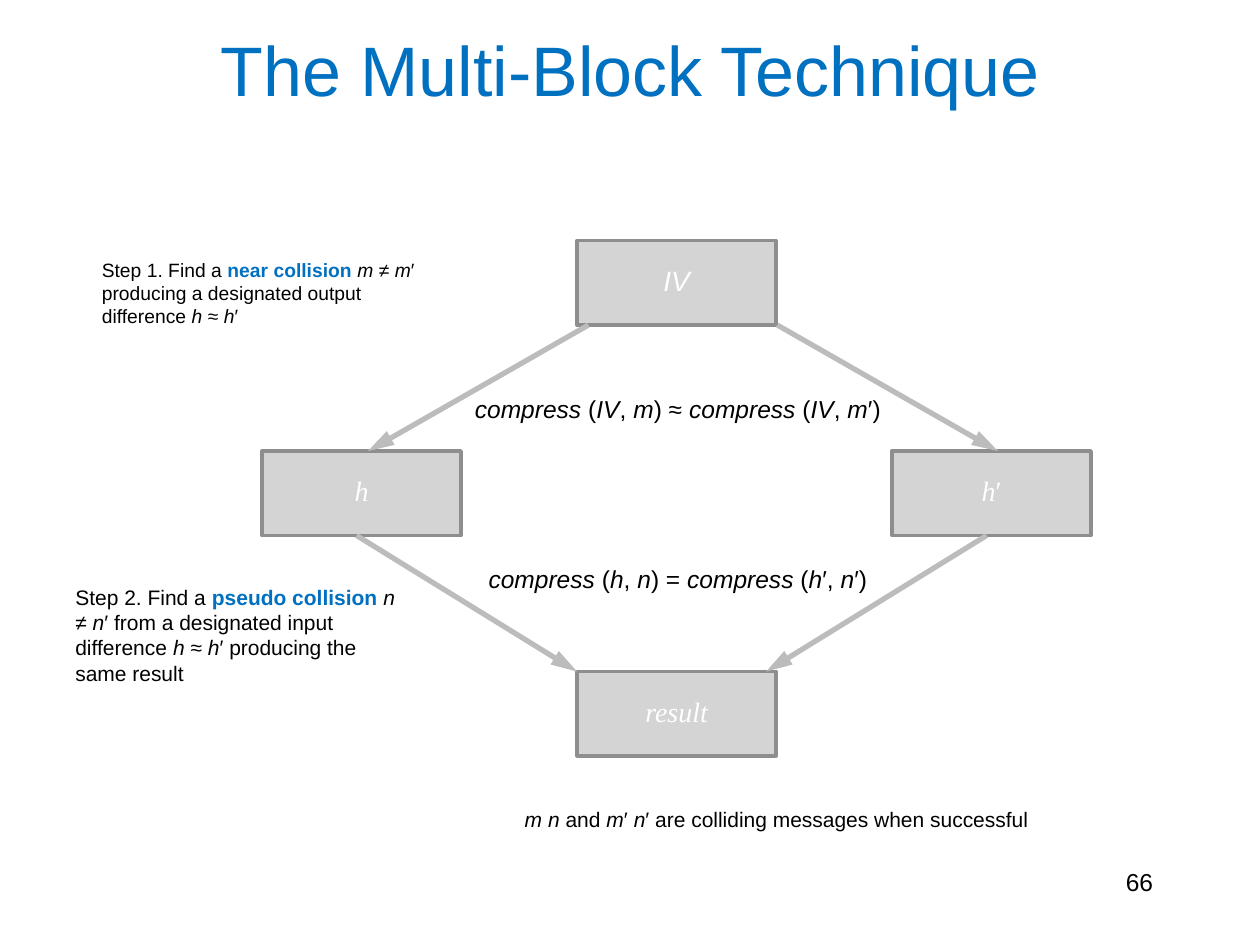
"""Build the slide on the multi-block collision technique."""
from dataclasses import dataclass

from lxml.etree import SubElement
from pptx import Presentation
from pptx.dml.color import RGBColor
from pptx.enum.shapes import MSO_CONNECTOR as CONN, MSO_SHAPE as SHAPE
from pptx.enum.text import MSO_ANCHOR as ANCHOR, PP_ALIGN as ALIGN
from pptx.oxml.ns import qn
from pptx.util import Inches, Pt

BLUE = "0070C0"
BOX_W, BOX_H = 1.58, 0.67
LABEL_W, LABEL_H = 0.83, 0.37


@dataclass
class State:
    text: str
    x: float
    y: float
    font: str = "Times New Roman"


@dataclass
class Arrow:
    x1: float
    y1: float
    x2: float
    y2: float


@dataclass
class Note:
    text: str
    x: float
    y: float
    w: float
    h: float
    size: int
    align: ALIGN = ALIGN.CENTER


STATES = [
    State("_IV_", 4.58, 1.91, "Arial"),
    State("_h_", 2.08, 3.58),
    State("_h_′", 7.08, 3.58),
    State("_result_", 4.58, 5.33),
]
ARROWS = [
    Arrow(4.67, 2.58, 2.92, 3.58),
    Arrow(6.17, 2.58, 7.92, 3.58),
    Arrow(7.83, 4.25, 6.08, 5.33),
    Arrow(2.83, 4.25, 4.58, 5.33),
]
NOTES = [
    Note("66", 7.17, 6.83, 2.08, 0.5, 14, ALIGN.RIGHT),
    Note("_compress_ (_IV_, _m_) ≈ _compress_ (_IV_, _m_′)", 3.38, 3.08, 4, 0.34, 14),
    Note("_compress_ (_h_, _n_) = _compress_ (_h_′, _n_′)", 3.38, 4.43, 4, 0.34, 14),
    Note("Step 1. Find a *near collision *_m _≠ _m_′ producing a designated "
         "output difference _h _≈ _h_′", 0.71, 2, 2.79, 0.66, 11, ALIGN.LEFT),
    Note("Step 2. Find a *pseudo collision *_n _≠ _n_′ from a designated input "
         "difference _h _≈ _h_′ producing the same result",
         0.5, 4.59, 2.83, 0.91, 12, ALIGN.LEFT),
    Note("_m n_ and _m_′ _n_′ are colliding messages when successful",
         3.08, 6.35, 6.17, 0.3, 12),
]


def rgb(color: str) -> RGBColor:
    """Turn a hex string into a colour."""
    return RGBColor.from_string(color)


def add_text(s, text: str, x: float, y: float, w: float, h: float, *, size: int,
             font: str = "Arial", color: str = "000000",
             align: ALIGN = ALIGN.CENTER, anchor: ANCHOR = ANCHOR.TOP) -> None:
    """Add a text box where _x_ marks italics and *x* marks a bold blue term."""
    tf = s.shapes.add_textbox(Inches(x), Inches(y), Inches(w), Inches(h)).text_frame
    tf.word_wrap = True
    tf.vertical_anchor = anchor
    p = tf.paragraphs[0]
    p.alignment = align
    for i, chunk in enumerate(text.split("*")):
        for j, part in enumerate(chunk.split("_")):
            if part:
                r = p.add_run()
                r.text = part
                r.font.name, r.font.size = font, Pt(size)
                r.font.bold, r.font.italic = i % 2 == 1, j % 2 == 1
                r.font.color.rgb = rgb(BLUE if i % 2 else color)


def add_state(s, state: State) -> None:
    """Add a translucent grey box with its centred label."""
    sp = s.shapes.add_shape(SHAPE.RECTANGLE, Inches(state.x), Inches(state.y),
                            Inches(BOX_W), Inches(BOX_H))
    sp.shadow.inherit = False
    sp.fill.solid()
    sp.fill.fore_color.rgb = rgb("C0C0C0")
    fill = sp.fill._xPr.find(qn("a:solidFill"))
    SubElement(fill[0], qn("a:alpha"), val="67000")
    sp.line.color.rgb = rgb("8E8E8E")
    sp.line.width = Pt(2)
    add_text(s, state.text, state.x + (BOX_W - LABEL_W) / 2, state.y + 0.13,
             LABEL_W, LABEL_H, size=16, font=state.font, color="FFFFFF")


def add_arrow(s, a: Arrow) -> None:
    """Add a grey arrow pointing at its end."""
    c = s.shapes.add_connector(CONN.STRAIGHT, Inches(a.x1), Inches(a.y1),
                               Inches(a.x2), Inches(a.y2))
    c.line.color.rgb = rgb("BCBCBC")
    c.line.width = Pt(3)
    SubElement(c.line._get_or_add_ln(), qn("a:tailEnd"),
               type="triangle", w="med", len="lg")
    SubElement(c._element.spPr, qn("a:effectLst"))


def main() -> None:
    """Build and save the slide."""
    prs = Presentation()
    prs.slide_width, prs.slide_height = Inches(10), Inches(7.5)
    s = prs.slides.add_slide(prs.slide_layouts[6])
    add_text(s, "The Multi-Block Technique", 0.75, -0.08, 8.5, 1.25,
             size=40, color=BLUE, anchor=ANCHOR.MIDDLE)
    for state in STATES:
        add_state(s, state)
    for arrow in ARROWS:
        add_arrow(s, arrow)
    for n in NOTES:
        add_text(s, n.text, n.x, n.y, n.w, n.h, size=n.size, align=n.align)
    prs.save("out.pptx")


if __name__ == "__main__":
    main()
